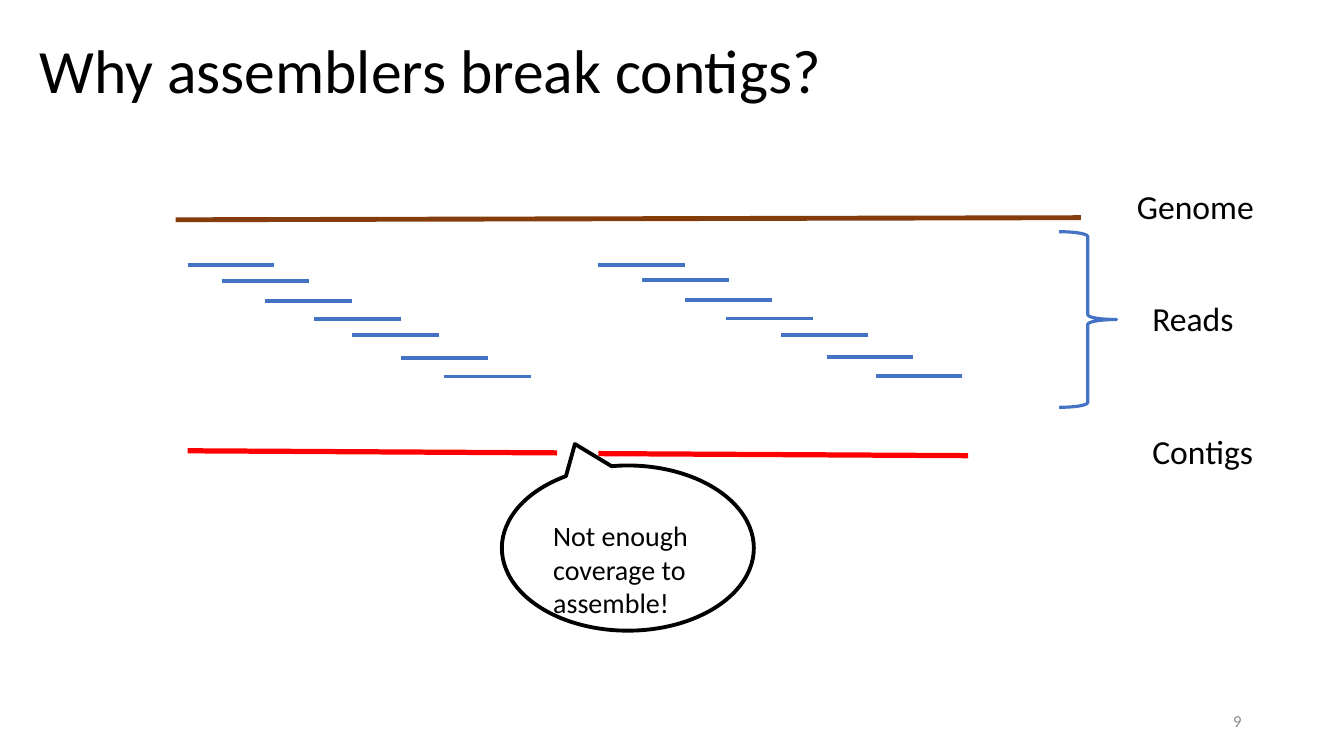
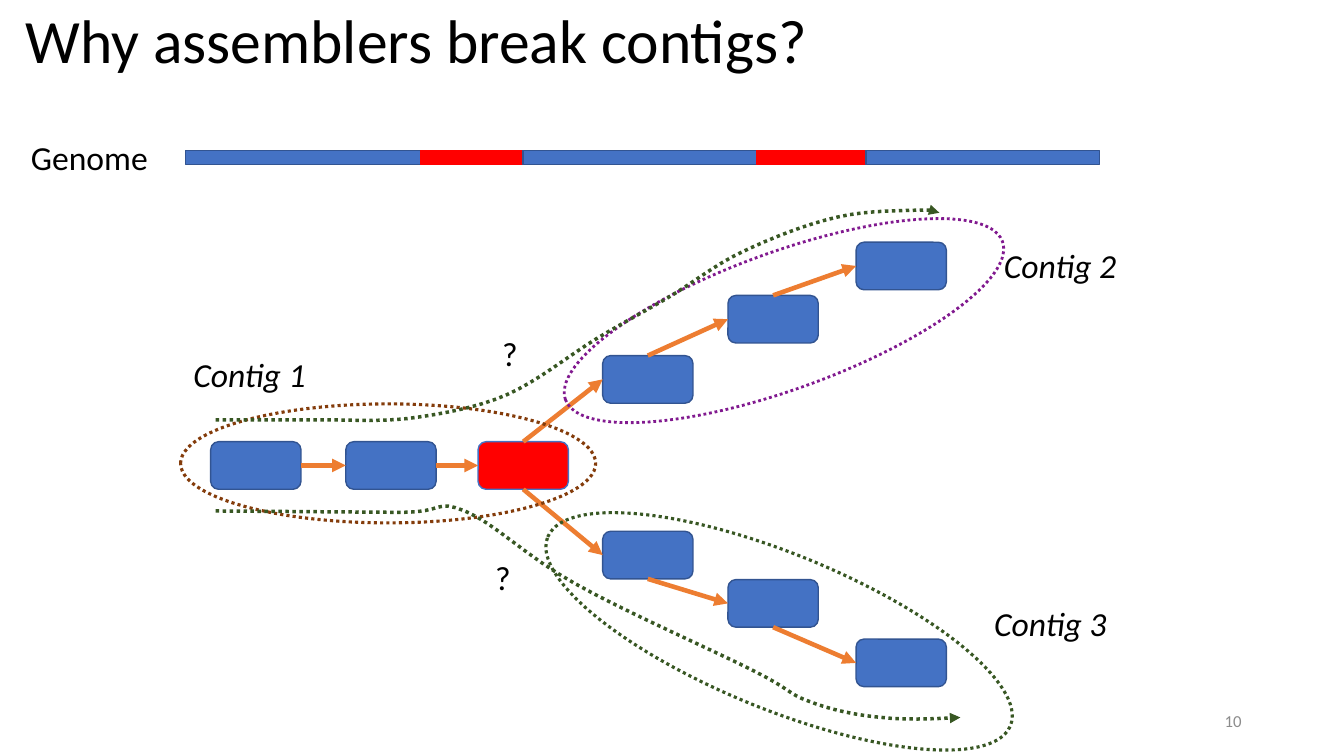
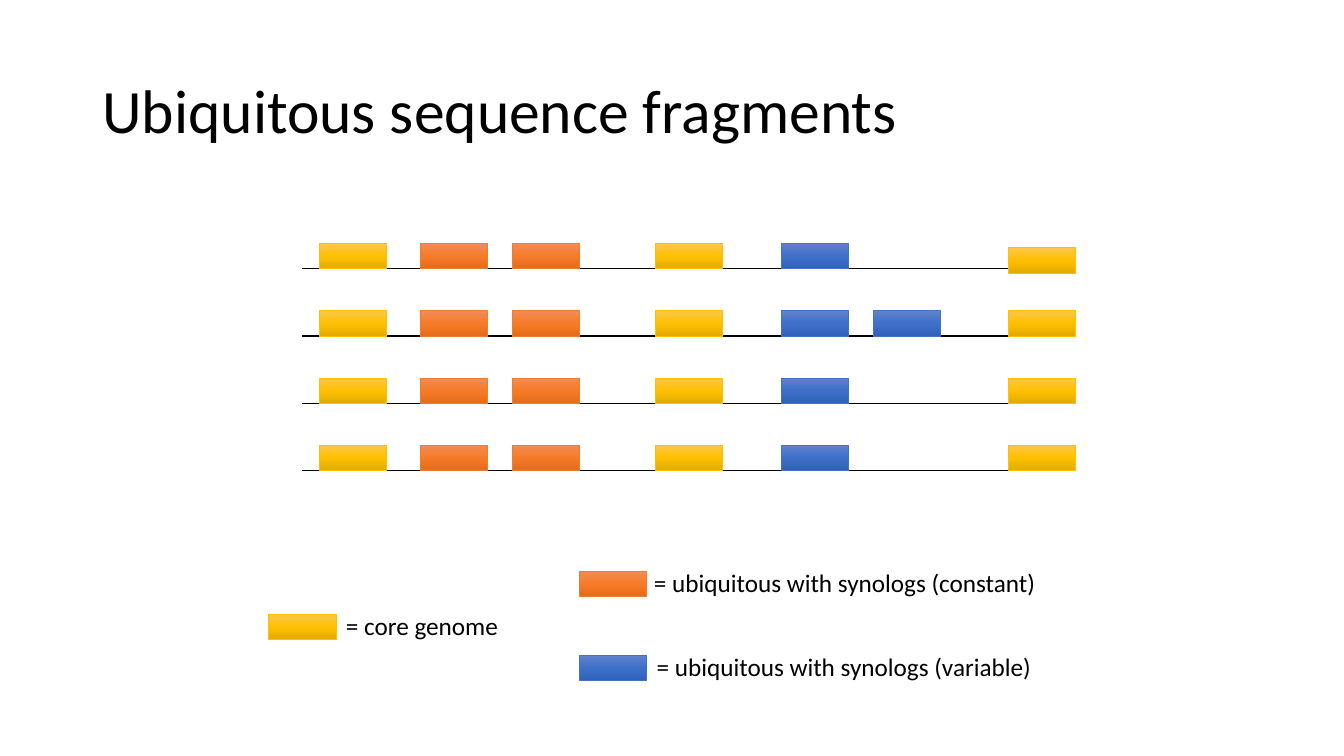
from copy import deepcopy
from itertools import pairwise

from lxml.etree import SubElement
from pptx import Presentation
from pptx.dml.color import RGBColor
from pptx.enum.dml import MSO_LINE
from pptx.enum.shapes import MSO_CONNECTOR, MSO_SHAPE
from pptx.enum.text import MSO_ANCHOR, PP_ALIGN
from pptx.oxml.ns import qn
from pptx.util import Pt

FONT = "Calibri"
BLACK = RGBColor(0x00, 0x00, 0x00)
GRAY = RGBColor(0x8C, 0x8C, 0x8C)
BLUE = RGBColor(0x44, 0x72, 0xC4)
NAVY = RGBColor(0x32, 0x54, 0x91)
RED = RGBColor(0xFF, 0x00, 0x00)
ORANGE = RGBColor(0xED, 0x7D, 0x31)
BROWN = RGBColor(0x84, 0x3C, 0x0B)
PURPLE = RGBColor(0x81, 0x19, 0x8F)
GREEN = RGBColor(0x38, 0x57, 0x23)
GOLD = RGBColor(0xFF, 0xC0, 0x00)

# Fragment kinds: gradient from top to bottom, then outline
CORE = (RGBColor(0xFF, 0xC6, 0x4B), GOLD, RGBColor(0xE3, 0xAB, 0x00)), GOLD
CONSTANT = (RGBColor(0xF1, 0x8C, 0x57), RGBColor(0xF6, 0x7B, 0x28),
            RGBColor(0xE5, 0x6C, 0x19)), ORANGE
VARIABLE = (RGBColor(0x61, 0x83, 0xCB), RGBColor(0x3E, 0x70, 0xCA),
            RGBColor(0x30, 0x62, 0xBB)), BLUE

NODE_W, NODE_H = 64.5, 34
FRAGMENT_W, FRAGMENT_H = 48, 18
TOP, LEFT, BOTTOM, RIGHT = range(4)  # connection sites of a node


# Shared helpers
def write_text(frame, text, size=24, color=BLACK, italic=False,
               align=PP_ALIGN.LEFT, anchor=MSO_ANCHOR.TOP, spacing=None):
    frame.word_wrap = True
    frame.vertical_anchor = anchor
    frame.text = text
    paragraph = frame.paragraphs[0]
    paragraph.alignment = align
    paragraph.line_spacing = spacing
    font = paragraph.runs[0].font
    font.name, font.size, font.italic = FONT, Pt(size), italic
    font.color.rgb = color


def add_label(slide, text, left, top, width=172, height=36, **style):
    label = slide.shapes.add_textbox(Pt(left), Pt(top), Pt(width), Pt(height))
    write_text(label.text_frame, text, **style)


def style_line(line, color, weight, dotted=False, arrow=False):
    line.color.rgb = color
    line.width = Pt(weight)
    if dotted:
        line.dash_style = MSO_LINE.ROUND_DOT
    if arrow:
        SubElement(line._get_or_add_ln(), qn("a:tailEnd"), type="triangle")


def add_line(slide, x1, y1, x2, y2, color, weight, **style):
    line = slide.shapes.add_connector(
        MSO_CONNECTOR.STRAIGHT, Pt(x1), Pt(y1), Pt(x2), Pt(y2))
    style_line(line.line, color, weight, **style)
    SubElement(line._element.spPr, qn("a:effectLst"))
    return line


def add_figure(slide, kind, left, top, width, height, outline, weight,
               fill=None, dotted=False, rotation=0):
    figure = slide.shapes.add_shape(
        kind, Pt(left), Pt(top), Pt(width), Pt(height))
    figure.shadow.inherit = False
    figure.rotation = rotation
    if fill is None:
        figure.fill.background()
    else:
        figure.fill.solid()
        figure.fill.fore_color.rgb = fill
    style_line(figure.line, outline, weight, dotted)
    return figure


def add_titled_slide(prs, title, left, top, number=None):
    slide = prs.slides.add_slide(prs.slide_layouts[5])
    heading = slide.shapes.title
    heading.left, heading.top = Pt(left), Pt(top)
    heading.width, heading.height = Pt(828), Pt(104.5)
    write_text(heading.text_frame, title, size=44,
               anchor=MSO_ANCHOR.MIDDLE, spacing=0.9)
    if number:
        add_label(slide, number, 678, 500.5, 216, 29, size=12, color=GRAY,
                  align=PP_ALIGN.RIGHT, anchor=MSO_ANCHOR.MIDDLE)
    return slide


# Coverage gap
def add_reads(slide, left, top, offsets):
    drops = (0, 11, 25.5, 38.5, 50, 66, 79.5)
    for offset, drop in zip(offsets, drops):
        x, y = left + offset, top + drop
        add_line(slide, x, y, x + 62, y, BLUE, 2.75)


def add_gap_callout(slide, left, top):
    bubble = add_figure(slide, MSO_SHAPE.OVAL_CALLOUT, left, top, 180, 118,
                        BLACK, 2.75)
    bubble.adjustments[0], bubble.adjustments[1] = -0.21, -0.63
    add_label(slide, "Not enough coverage to assemble!",
              left + 29.5, top + 34.5, 121, 80, size=20)


def build_coverage_slide(prs):
    slide = add_titled_slide(prs, "Why assemblers break contigs?", 21, 0, "9")
    add_line(slide, 125.5, 157, 772, 155.5, BROWN, 3.5)
    add_reads(slide, 134, 189.5, (0, 24.5, 55.5, 90.5, 117.5, 152.5, 183.5))
    add_reads(slide, 427.5, 189, (0, 31, 62, 91, 130.5, 163, 198))
    for x, y in ((134, 322), (427.5, 324)):
        add_line(slide, x, y, x + 264, y + 1.5, RED, 3.75)
    add_figure(slide, MSO_SHAPE.RIGHT_BRACE, 756.5, 165.5, 41, 125.5,
               BLUE, 2.25)
    for text, left, top in (("Genome", 805, 129), ("Reads", 816, 209.5),
                            ("Contigs", 816, 304)):
        add_label(slide, text, left, top, 140)
    add_gap_callout(slide, 358.5, 332.5)


# Repeats in the assembly graph
def add_genome_bar(slide, left, top):
    add_label(slide, "Genome", left, top, 104)
    x = left + 117.5
    for width, color, outline in ((168, BLUE, NAVY), (73, RED, RED),
                                  (167, BLUE, NAVY), (78, RED, RED),
                                  (167, BLUE, NAVY)):
        add_figure(slide, MSO_SHAPE.RECTANGLE, x, top + 13, width, 10,
                   outline, 1, color)
        x += width


def add_route(slide, left, top, start, first, curves):
    """Draw a dotted arrow: a straight start, then cubic curves."""
    points = [start, first]
    for a, b, end in curves:
        origin = points[-1]
        for step in range(1, 9):
            t = step / 8
            weights = ((1 - t) ** 3, 3 * t * (1 - t) ** 2,
                       3 * t * t * (1 - t), t ** 3)
            points.append(tuple(
                sum(w * p[axis] for w, p in zip(weights, (origin, a, b, end)))
                for axis in (0, 1)))
    vertices = [(Pt(left + x), Pt(top + y)) for x, y in points]
    builder = slide.shapes.build_freeform(*vertices[0])
    builder.add_line_segments(vertices[1:], close=False)
    route = builder.convert_to_shape()
    route.shadow.inherit = False
    route.fill.background()
    style_line(route.line, GREEN, 2.5, dotted=True, arrow=True)


def link_nodes(slide, source, source_site, target):
    arrow = add_line(slide, 0, 0, 0, 0, ORANGE, 3.25, arrow=True)
    arrow.begin_connect(source, source_site)
    arrow.end_connect(target, LEFT)


def add_assembly_graph(slide, left, top):
    def add_chain(places):
        return [add_figure(slide, MSO_SHAPE.ROUNDED_RECTANGLE, left + x,
                           top + y, NODE_W, NODE_H, NAVY, 1, BLUE)
                for x, y in places]

    # Nodes and arrows
    stem = add_chain(((30.5, 175.5), (127, 175.5), (221.5, 175.5)))
    upper = add_chain(((310.5, 114), (400, 71), (491.5, 33)))
    lower = add_chain(((310.5, 239.5), (400, 274), (491.5, 316.5)))
    repeat = stem[-1]
    repeat.fill.fore_color.rgb = RED
    repeat.line.color.rgb = BLUE
    for chain, site in ((stem, RIGHT), ([repeat] + upper, TOP),
                        ([repeat] + lower, BOTTOM)):
        for source, target in pairwise(chain):
            link_nodes(slide, source, site, target)

    # Contig outlines
    for x, y, width, height, color, weight, rotation in (
            (9, 148.5, 296.5, 85, BROWN, 2.25, 0),
            (274, 40, 332, 98, PURPLE, 2, 340.1),
            (258, 255.5, 357, 111, GREEN, 2.25, 22.2)):
        add_figure(slide, MSO_SHAPE.OVAL, left + x, top + y, width, height,
                   color, weight, dotted=True, rotation=rotation)

    # Possible routes through the repeat
    add_route(slide, left, top, (34, 160), (103, 160), (
        ((125.5, 159.5), (148, 161.5), (171, 159)),
        ((194, 156), (220, 151.5), (242, 142)),
        ((264.5, 132), (287, 113.5), (306, 102)),
        ((325, 90.5), (339.5, 83), (356.5, 73)),
        ((374.5, 62.5), (390, 49.5), (410, 40)),
        ((430, 30.5), (456, 20), (478.5, 15)),
        ((500, 10), (528.5, 10.5), (541, 10)),
        ((553, 10), (551, 12), (551, 12))))
    add_route(slide, left, top, (34, 225), (167.5, 226), (
        ((197, 226), (191, 216.5), (212, 225)),
        ((233, 233.5), (256.5, 258), (291, 277)),
        ((325.5, 296.5), (390.5, 325), (418, 339)),
        ((446, 353), (442.5, 355.5), (458, 361)),
        ((473, 367), (492, 371), (510, 372.5)),
        ((528, 375), (566, 372.5), (566, 372.5))))

    # Labels
    for text, x, y in (("Contig 1", 11, 109), ("Contig 2", 590, 31.5),
                       ("Contig 3", 583, 287)):
        add_label(slide, text, left + x, top + y, 136, italic=True)
    for x, y in ((231.5, 94), (226.5, 254.5)):
        add_label(slide, "?", left + x, top + y, 63)


def build_repeat_slide(prs):
    slide = add_titled_slide(prs, "Why assemblers break contigs?",
                             11, -21, "10")
    add_genome_bar(slide, 15, 94.5)
    add_assembly_graph(slide, 120, 140)


# Ubiquitous fragments
def add_fragment(slide, left, top, kind):
    colors, outline = kind
    fragment = add_figure(slide, MSO_SHAPE.RECTANGLE, left, top,
                          FRAGMENT_W, FRAGMENT_H, outline, 0.5)
    fill = fragment.fill
    fill.gradient()
    fill.gradient_angle = 270
    stops = fragment._element.spPr.find(qn("a:gradFill")).find(qn("a:gsLst"))
    stops.insert(1, deepcopy(stops[0]))
    for stop, position, color in zip(fill.gradient_stops, (0, 0.5, 1), colors):
        stop.position = position
        stop.color.rgb = color


def add_genome_rows(slide, left, top, width=552, pitch=48):
    common = ((12, CORE), (84, CONSTANT), (150, CONSTANT), (252, CORE),
              (342, VARIABLE))
    for row in range(4):
        baseline = top + FRAGMENT_H + row * pitch
        add_line(slide, left, baseline, left + width, baseline, BLACK, 1)
        extra = ((408, VARIABLE),) if row == 1 else ()
        for offset, kind in common + extra:
            add_fragment(slide, left + offset, baseline - FRAGMENT_H, kind)
        last_drop = 3 if row == 0 else 0
        add_fragment(slide, left + width - FRAGMENT_W,
                     baseline - FRAGMENT_H + last_drop, CORE)


def add_legend_entry(slide, left, top, kind, meaning, gap):
    add_fragment(slide, left, top, kind)
    add_label(slide, meaning, left + FRAGMENT_W + gap, top - 6.5, 300, 29,
              size=18)


def build_fragment_slide(prs):
    slide = add_titled_slide(prs, "Ubiquitous sequence fragments", 66, 29)
    add_genome_rows(slide, 216, 174)
    add_legend_entry(slide, 192, 439, CORE, "= core genome", 0)
    add_legend_entry(slide, 414, 408, CONSTANT,
                     "= ubiquitous with synologs (constant)", -2)
    add_legend_entry(slide, 414, 468, VARIABLE,
                     "= ubiquitous with synologs (variable)", 0)


def main():
    prs = Presentation()
    prs.slide_width, prs.slide_height = Pt(960), Pt(540)
    build_coverage_slide(prs)
    build_repeat_slide(prs)
    build_fragment_slide(prs)
    prs.save("out.pptx")


if __name__ == "__main__":
    main()
